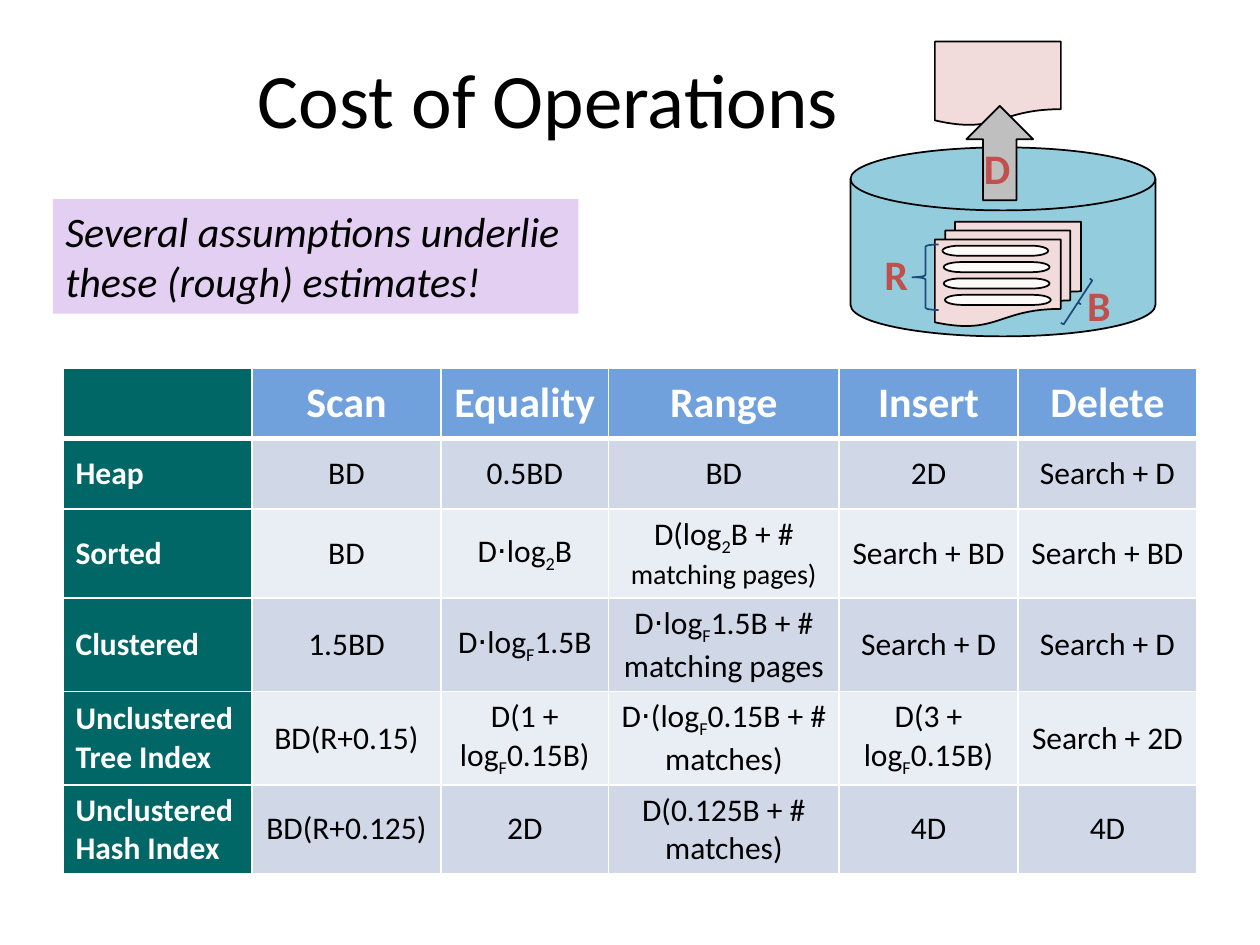
from dataclasses import dataclass

from lxml.etree import SubElement
from pptx import Presentation
from pptx.dml.color import RGBColor
from pptx.enum.shapes import MSO_SHAPE
from pptx.enum.text import MSO_ANCHOR, MSO_AUTO_SIZE, PP_ALIGN
from pptx.oxml.ns import qn
from pptx.util import Inches, Pt


@dataclass(frozen=True)
class Theme:
    font: str = "Calibri"
    black: str = "000000"
    white: str = "FFFFFF"
    note: str = "E2CFF1"
    head: str = "71A1DC"
    side: str = "006666"
    bands: tuple = ("D0D8E8", "E9EDF4")
    disk: str = "93CDDD"
    page: str = "F2DCDB"
    record: str = "FCFBF9"
    arrow: str = "BFBFBF"
    brace: str = "1F497D"
    letter: str = "C0504D"
    title_size: int = 44
    large: int = 24
    body: int = 18
    small: int = 16


THEME = Theme()

COLUMNS = (1.5, 1.5, 1.33, 1.83, 1.42, 1.42)
ROWS = (0.56, 0.56, 0.67, 0.7, 0.7, 0.7)
# Text between tildes is subscript; text after a caret is set smaller.
COSTS = (
    ("", "Scan", "Equality", "Range", "Insert", "Delete"),
    ("Heap", "BD", "0.5BD", "BD", "2D", "Search + D"),
    ("Sorted", "BD", "D⋅log~2~B", "D(log~2~B + # ^matching pages)",
     "Search + BD", "Search + BD"),
    ("Clustered", "1.5BD", "D⋅log~F~1.5B", "D⋅log~F~1.5B + # matching pages",
     "Search + D", "Search + D"),
    ("Unclustered Tree Index", "BD(R+0.15)", "D(1 + log~F~0.15B)",
     "D⋅(log~F~0.15B + # matches)", "D(3 + log~F~0.15B)", "Search + 2D"),
    ("Unclustered Hash Index", "BD(R+0.125)", "2D", "D(0.125B + # matches)",
     "4D", "4D"),
)


def rgb(color):
    return RGBColor.from_string(color)


def style_run(r, size, color, bold=False, italic=False):
    f = r.font
    f.name, f.size, f.bold, f.italic = THEME.font, Pt(size), bold, italic
    f.color.rgb = rgb(color)


def add_text(shapes, text, x, y, w, h, size, color, wrap=True, **style):
    sp = shapes.add_textbox(Inches(x), Inches(y), Inches(w), Inches(h))
    tf = sp.text_frame
    tf.text = text
    tf.word_wrap = wrap
    style_run(tf.paragraphs[0].runs[0], size, color, **style)
    return sp


def add_title(slide, x, y, w, h):
    sp = add_text(slide.shapes, "Cost of Operations ", x, y, w, h,
                  THEME.title_size, THEME.black)
    sp.text_frame.vertical_anchor = MSO_ANCHOR.MIDDLE
    sp.text_frame.paragraphs[0].alignment = PP_ALIGN.CENTER


def add_note(slide, x, y, w, h):
    sp = add_text(slide.shapes,
                  "Several assumptions underlie these (rough) estimates!",
                  x, y, w, h, THEME.large, THEME.black, italic=True)
    sp.fill.solid()
    sp.fill.fore_color.rgb = rgb(THEME.note)
    sp.text_frame.auto_size = MSO_AUTO_SIZE.SHAPE_TO_FIT_TEXT


def set_borders(cell, **widths):
    """Draw white borders; widths are points by side: L, R, T, B."""
    tcPr = cell._tc.get_or_add_tcPr()
    for side, width in widths.items():
        ln = SubElement(tcPr, qn(f"a:ln{side}"), w=str(Pt(width)))
        fill = SubElement(ln, qn("a:solidFill"))
        SubElement(fill, qn("a:srgbClr"), val=THEME.white)


def fill_cell(cell, text, size, color, bold):
    p = cell.text_frame.paragraphs[0]
    normal, _, small = text.partition("^")
    pieces = [(piece, size, i % 2) for i, piece in enumerate(normal.split("~"))]
    pieces.append((small, THEME.small, 0))
    for piece, piece_size, is_subscript in pieces:
        if not piece:
            continue
        r = p.add_run()
        r.text = piece
        style_run(r, piece_size, color, bold)
        if is_subscript:
            r.font._element.set("baseline", "-25000")
    return p


def add_cost_table(slide, x, y, w, h):
    table = slide.shapes.add_table(len(ROWS), len(COLUMNS), Inches(x), Inches(y),
                                   Inches(w), Inches(h)).table
    for column, width in zip(table.columns, COLUMNS):
        column.width = Inches(width)
    for row, height in zip(table.rows, ROWS):
        row.height = Inches(height)
    for i, costs in enumerate(COSTS):
        for j, text in enumerate(costs):
            cell = table.cell(i, j)
            is_label = i == 0 or j == 0
            p = fill_cell(cell, text, THEME.body if i else THEME.large,
                          THEME.white if is_label else THEME.black, is_label)
            p.alignment = PP_ALIGN.CENTER if j else PP_ALIGN.LEFT
            cell.vertical_anchor = MSO_ANCHOR.MIDDLE
            set_borders(cell, L=1, R=1, T=3 if i == 1 else 1, B=1 if i else 3)
            cell.fill.solid()
            if j == 0:
                color = THEME.side
            elif i == 0:
                color = THEME.head
            else:
                color = THEME.bands[(i - 1) % 2]
            cell.fill.fore_color.rgb = rgb(color)


def add_disk_figure(slide, x, y):
    """Disk holding pages (B) of records (R), with one page moved out (D)."""
    shapes = slide.shapes.add_group_shape().shapes

    def part(kind, dx, dy, w, h, fill=None, line=THEME.black):
        sp = shapes.add_shape(kind, Inches(x + dx), Inches(y + dy),
                              Inches(w), Inches(h))
        sp.shadow.inherit = False
        if fill:
            sp.fill.solid()
            sp.fill.fore_color.rgb = rgb(fill)
        else:
            sp.fill.background()
        sp.line.color.rgb = rgb(line)
        sp.line.width = Pt(1)
        return sp

    def brace(dx, dy, w, h, rotation=0):
        sp = part(MSO_SHAPE.RIGHT_BRACE, dx, dy, w, h, line=THEME.brace)
        sp.adjustments[0] = 0.08
        sp.rotation = rotation
        sp.element.spPr.xfrm.set("flipH", "1")

    def letter(text, dx, dy):
        add_text(shapes, text, x + dx, y + dy, 0.4, 0.5, THEME.large,
                 THEME.letter, wrap=False, bold=True)

    part(MSO_SHAPE.FLOWCHART_MAGNETIC_DISK, 0, 0.84, 2.42, 1.5, THEME.disk)
    part(MSO_SHAPE.FLOWCHART_MULTIDOCUMENT, 0.67, 1.43, 1.16, 0.83, THEME.page)
    for i, dx in enumerate((0.73, 0.74, 0.74, 0.75)):
        part(MSO_SHAPE.FLOWCHART_TERMINATOR, dx, 1.62 + 0.13 * i, 0.84, 0.08,
             THEME.record)
    part(MSO_SHAPE.FLOWCHART_DOCUMENT, 0.67, 0, 1, 0.67, THEME.page)
    part(MSO_SHAPE.UP_ARROW, 0.92, 0.51, 0.53, 0.75, THEME.arrow)
    brace(1.78, 1.86, 0.05, 0.42, rotation=213.1)
    letter("B", 1.78, 1.84)
    brace(0.49, 1.61, 0.21, 0.52)
    letter("R", 0.17, 1.59)
    letter("D", 0.96, 0.75)


def main():
    prs = Presentation()
    prs.slide_width, prs.slide_height = Inches(10), Inches(7.5)
    s = prs.slides.add_slide(prs.slide_layouts[6])
    add_title(s, 0.17, 0.17, 8.5, 1.21)
    add_cost_table(s, 0.5, 2.92, sum(COLUMNS), sum(ROWS))
    add_note(s, 0.42, 1.58, 4.17, 0.91)
    add_disk_figure(s, 6.75, 0.33)
    prs.save("out.pptx")


if __name__ == "__main__":
    main()
